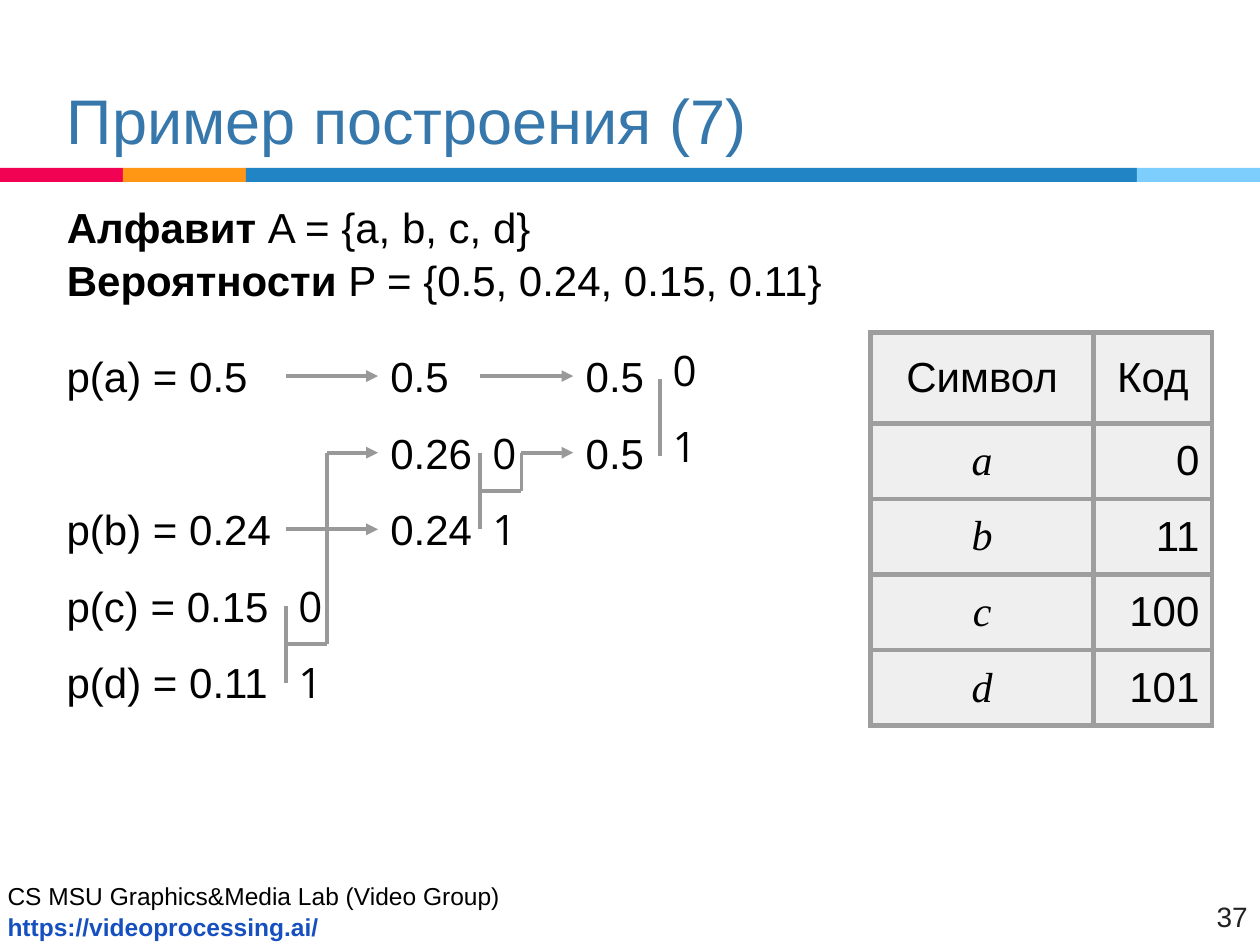
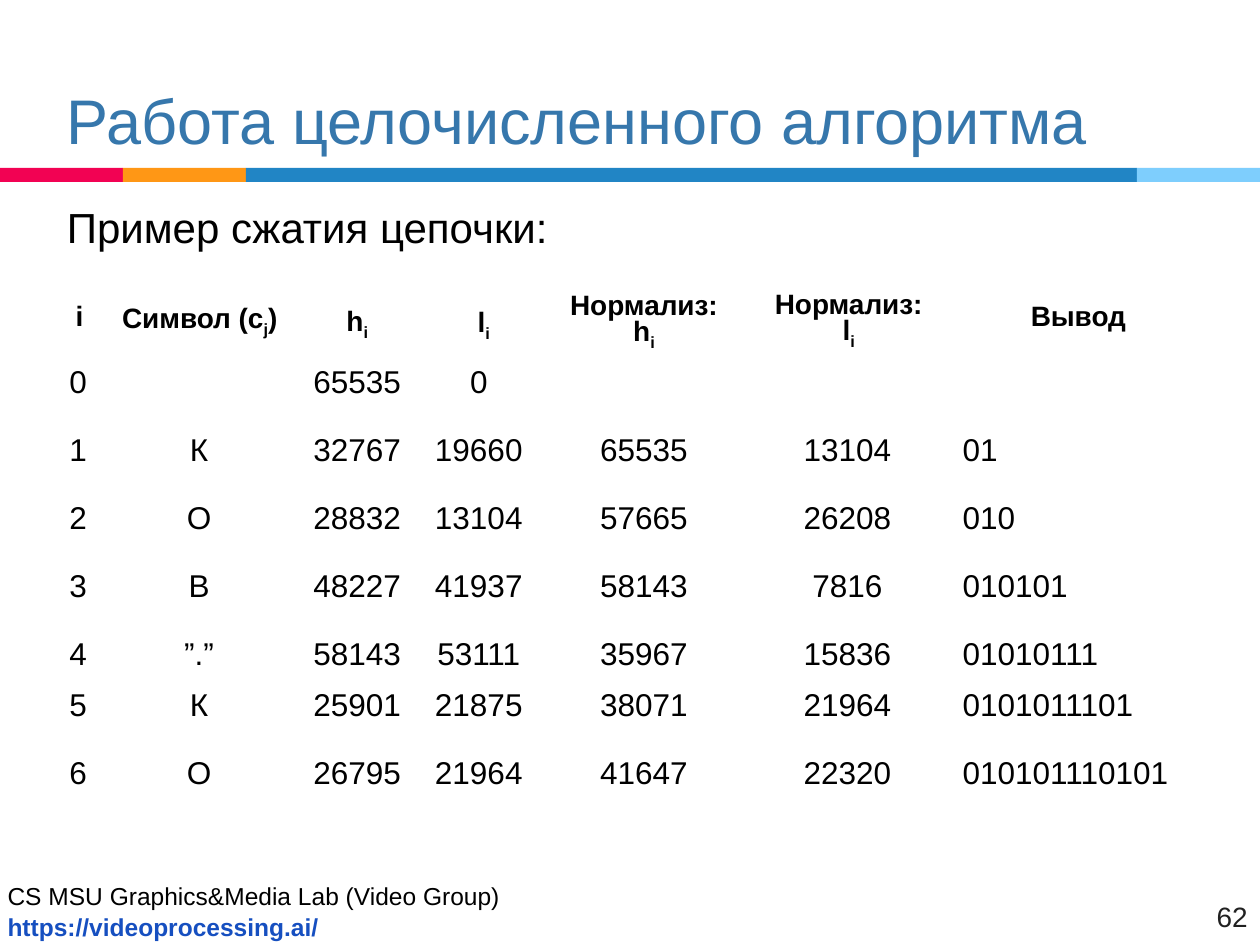
from lxml.etree import SubElement
from pptx import Presentation
from pptx.dml.color import RGBColor
from pptx.enum.shapes import MSO_CONNECTOR, MSO_SHAPE
from pptx.enum.text import MSO_ANCHOR, MSO_AUTO_SIZE, PP_ALIGN
from pptx.oxml.ns import qn
from pptx.util import Pt

BLACK = RGBColor(0x00, 0x00, 0x00)
TITLE_BLUE = RGBColor(0x36, 0x77, 0xAC)
LINK_BLUE = RGBColor(0x16, 0x4F, 0xC0)
NUMBER_GRAY = RGBColor(0x21, 0x21, 0x21)
LINE_GRAY = RGBColor(0x99, 0x99, 0x99)
BORDER_GRAY = RGBColor(0x9E, 0x9E, 0x9E)
CELL_GRAY = RGBColor(0xEF, 0xEF, 0xEF)
RED = RGBColor(0xF2, 0x02, 0x53)
ORANGE = RGBColor(0xFF, 0x97, 0x15)
BLUE = RGBColor(0x21, 0x85, 0xC5)
SKY = RGBColor(0x7E, 0xCE, 0xFD)

SANS, DIGIT, SERIF = "Arial", "Open Sans", "Times New Roman"
LEFT, CENTER, RIGHT = PP_ALIGN.LEFT, PP_ALIGN.CENTER, PP_ALIGN.RIGHT
BANDS = [(RED, 70.3), (ORANGE, 70.3), (BLUE, 509.1), (SKY, 70.3)]
MARGIN = 31
ROW_TOP, ROW_PITCH = 193, 43.8
FORK_W = 23.7


def row_top(row):
    return ROW_TOP + ROW_PITCH * row


def row_mid(row):
    return row_top(row + 0.5)


class Deck:
    def __init__(self):
        self.prs = Presentation()
        self.prs.slide_width, self.prs.slide_height = Pt(720), Pt(540)
        self.s = None

    def slide(self, title, number):
        self.s = self.prs.slides.add_slide(self.prs.slide_layouts[1])
        x = 0
        for color, width in BANDS:
            self.band(x, width, color)
            x += width
        self.text([[("CS MSU Graphics&Media Lab (Video Group)", {})],
                   [("https://videoprocessing.ai/", {"color": LINK_BLUE, "bold": True})]],
                  0.7, 499.7, 290, 41, size=14, inset=(3.6, 3.6), gap=1)
        self.place(self.s.shapes.title, MARGIN, 3.6, 600.5, 90)
        self.fill_frame(self.s.shapes.title.text_frame, [[(title, {})]], size=36,
                        color=TITLE_BLUE, inset=(7.2, 3.6), anchor=MSO_ANCHOR.BOTTOM)
        self.text([[(str(number), {})]], 674, 510.5, 46, 24.5, size=16,
                  color=NUMBER_GRAY, inset=(7.2, 3.6), align=RIGHT)

    def place(self, sp, x, y, w, h):
        sp.left, sp.top, sp.width, sp.height = Pt(x), Pt(y), Pt(w), Pt(h)

    def band(self, x, width, color):
        sp = self.s.shapes.add_shape(MSO_SHAPE.RECTANGLE, Pt(x), Pt(96), Pt(width), Pt(8))
        sp.shadow.inherit = False
        sp.fill.solid()
        sp.fill.fore_color.rgb = color
        sp.line.fill.background()

    def fill_paragraph(self, p, parts, size, font=SANS, color=BLACK, bold=False,
                       italic=False, align=LEFT):
        p.alignment = align
        for text, look in parts:
            r = p.add_run()
            r.text = text
            r.font.name, r.font.size = font, Pt(size)
            r.font.bold, r.font.italic = look.get("bold", bold), italic
            r.font.color.rgb = look.get("color", color)
            if look.get("sub"):
                r._r.get_or_add_rPr().set("baseline", "-25000")

    def fill_frame(self, tf, paragraphs, inset=(7.2, 7.2), anchor=MSO_ANCHOR.TOP,
                   gap=0, spacing=1.0, **look):
        tf.word_wrap = True
        tf.auto_size = MSO_AUTO_SIZE.NONE
        tf.vertical_anchor = anchor
        tf.margin_left = tf.margin_right = Pt(inset[0])
        tf.margin_top = tf.margin_bottom = Pt(inset[1])
        for i, parts in enumerate(paragraphs):
            p = tf.add_paragraph() if i else tf.paragraphs[0]
            p.line_spacing = spacing
            p.space_before = Pt(gap if i else 0)
            self.fill_paragraph(p, parts, **look)

    def text(self, paragraphs, x, y, w, h, **look):
        sp = self.s.shapes.add_textbox(Pt(x), Pt(y), Pt(w), Pt(h))
        self.fill_frame(sp.text_frame, paragraphs, **look)
        return sp

    def body(self, paragraphs, w, h):
        sp = self.s.placeholders[1]
        self.place(sp, MARGIN, 111.6, w, h)
        self.fill_frame(sp.text_frame, paragraphs, size=24, inset=(7.2, 3.6), gap=1.5)
        for p in sp.text_frame.paragraphs:
            pPr = p._p.get_or_add_pPr()
            pPr.set("marL", "0")
            pPr.set("indent", "0")
            SubElement(pPr, qn("a:buNone"))

    def label(self, text, x, row, w, font=SANS):
        return self.text([[(text, {})]], x, row_top(row), w, ROW_PITCH, size=24, font=font)

    def line(self, x1, y1, x2, y2, begin=None, end=None):
        c = self.s.shapes.add_connector(MSO_CONNECTOR.STRAIGHT, Pt(x1), Pt(y1), Pt(x2), Pt(y2))
        if begin is not None:
            c.begin_connect(begin, 3)
        c.line.color.rgb = LINE_GRAY
        c.line.width = Pt(2.25)
        if end is not None:
            c.end_connect(end, 1)
            SubElement(c.line._get_or_add_ln(), qn("a:tailEnd"), type="triangle")
        SubElement(c._element.spPr, qn("a:effectLst"))

    def arrow(self, begin, end):
        self.line(0, 0, 0, 0, begin, end)

    def fork(self, x, row, digit_row):
        self.line(x, row_mid(row), x, row_mid(row + 1))
        for i, digit in enumerate("01"):
            self.label(digit, x, digit_row + i, FORK_W, DIGIT)

    def merge(self, x, row, target_row, target):
        bend, y = x + FORK_W, row_mid(row + 0.5)
        self.line(x, y, bend, y)
        self.line(bend, y, bend, row_mid(target_row))
        self.line(bend, row_mid(target_row), 0, 0, end=target)

    def table(self, rows, x, y, widths, heights, looks, inset, anchor=MSO_ANCHOR.TOP,
              fill=None, border=None):
        frame = self.s.shapes.add_table(len(rows), len(widths), Pt(x), Pt(y),
                                        Pt(sum(widths)), Pt(sum(heights)))
        table = frame.table
        table.first_row = table.horz_banding = False
        for column, width in zip(table.columns, widths):
            column.width = Pt(width)
        for i, (row, height) in enumerate(zip(rows, heights)):
            table.rows[i].height = Pt(height)
            for j, text in enumerate(row):
                cell = table.cell(i, j)
                cell.margin_left = cell.margin_right = Pt(inset[0])
                cell.margin_top = cell.margin_bottom = Pt(inset[1])
                cell.vertical_anchor = anchor
                if border:
                    self.border(cell, border)
                if fill:
                    cell.fill.solid()
                    cell.fill.fore_color.rgb = fill
                else:
                    cell.fill.background()
                if text:
                    self.fill_paragraph(cell.text_frame.paragraphs[0], [(text, {})],
                                        **looks(i, j))

    def border(self, cell, color):
        tcPr = cell._tc.get_or_add_tcPr()
        for side in ("a:lnL", "a:lnR", "a:lnT", "a:lnB"):
            ln = SubElement(tcPr, qn(side), w=str(Pt(3)))
            SubElement(SubElement(ln, qn("a:solidFill")), qn("a:srgbClr"), val=str(color))


def code_look(i, j):
    if i == 0:
        return {"size": 24, "align": CENTER}
    if j == 0:
        return {"size": 24, "align": CENTER, "font": SERIF, "italic": True}
    return {"size": 24, "align": RIGHT}


def step_look(i, j):
    return {"size": 18, "align": LEFT if j == 6 else CENTER}


def build_tree_slide(deck):
    deck.slide("Пример построения (7)", 37)
    bold = {"bold": True}
    deck.body([[("Алфавит", bold), (" A = {a, b, c, d}", {})],
               [("Вероятности ", bold), ("P = {0.5, 0.24, 0.15, 0.11}", {})]], 452, 74)
    codes = [("Символ", "Код"), ("a", "0"), ("b", "11"), ("c", "100"), ("d", "101")]
    deck.table(codes, 497.5, 190.1, [127.4, 67.7], [51.8] + [43.2] * 4, code_look,
               (7.2, 7.2), MSO_ANCHOR.MIDDLE, CELL_GRAY, BORDER_GRAY)

    step1, step2 = 216, 327.6
    fork1, fork2, fork3 = 163.4, 274.3, 377.3
    p_a, p_b, p_c, p_d = [
        deck.label(text, MARGIN, row, fork1 - MARGIN)
        for text, row in [("p(a) = 0.5", 0), ("p(b) = 0.24", 2),
                          ("p(c) = 0.15", 3), ("p(d) = 0.11", 4)]]
    first_a = deck.label("0.5", step1, 0, fork2 - step1)
    first_cd = deck.label("0.26", step1, 1, 64)
    first_b = deck.label("0.24", step1, 2, 70)
    second_a = deck.label("0.5", step2, 0, 58.3)
    second_bcd = deck.label("0.5", step2, 1, 58.3)

    for begin, end in [(p_a, first_a), (p_b, first_b), (first_a, second_a)]:
        deck.arrow(begin, end)
    deck.fork(fork1, 3, 3)
    deck.merge(fork1, 3, 1, first_cd)
    deck.fork(fork2, 1, 1)
    deck.merge(fork2, 1, 1, second_bcd)
    deck.fork(fork3, 0.04, -0.08)


def build_coding_slide(deck):
    deck.slide("Работа целочисленного алгоритма", 62)
    deck.body([[("Пример сжатия цепочки:", {})]], 657.4, 368.6)
    steps = [
        ("",) * 7,
        ("0", "", "65535", "0", "", "", ""),
        ("1", "К", "32767", "19660", "65535", "13104", "01"),
        ("2", "О", "28832", "13104", "57665", "26208", "010"),
        ("3", "В", "48227", "41937", "58143", "7816", "010101"),
        ("4", "”.”", "58143", "53111", "35967", "15836", "01010111"),
        ("5", "К", "25901", "21875", "38071", "21964", "0101011101"),
        ("6", "О", "26795", "21964", "41647", "22320", "010101110101"),
    ]
    deck.table(steps, MARGIN, 158.4, [26.6, 112.3, 68.4, 70.6, 118.1, 114.5, 147.6],
               [46.1] + [38.8] * 4 + [29.3] + [38.8] * 2, step_look, (8.64, 4.32))

    headers = [
        (43.2, 175, 11.5, 18, LEFT, "i", "", ""),
        (67, 175, 94.3, 18, CENTER, "Символ (c", "j", ")"),
        (198, 176.4, 23.8, 16.6, LEFT, "h", "i", ""),
        (272.9, 177.1, 15.8, 16.6, LEFT, "l", "i", ""),
        (323, 169, 90, 31.7, CENTER, "Нормализ: h", "i", ""),
        (440, 168.5, 90, 31.7, CENTER, "Нормализ: l", "i", ""),
        (589, 175, 66.2, 15.1, LEFT, "Вывод", "", ""),
    ]
    for x, y, w, h, align, base, sub, tail in headers:
        parts = [(base, {}), (sub, {"sub": True}), (tail, {})]
        deck.text([[part for part in parts if part[0]]], x, y, w, h, size=16, bold=True,
                  align=align, inset=(0, 0.72), spacing=0.7)


def main():
    deck = Deck()
    build_tree_slide(deck)
    build_coding_slide(deck)
    deck.prs.save("out.pptx")


if __name__ == "__main__":
    main()
